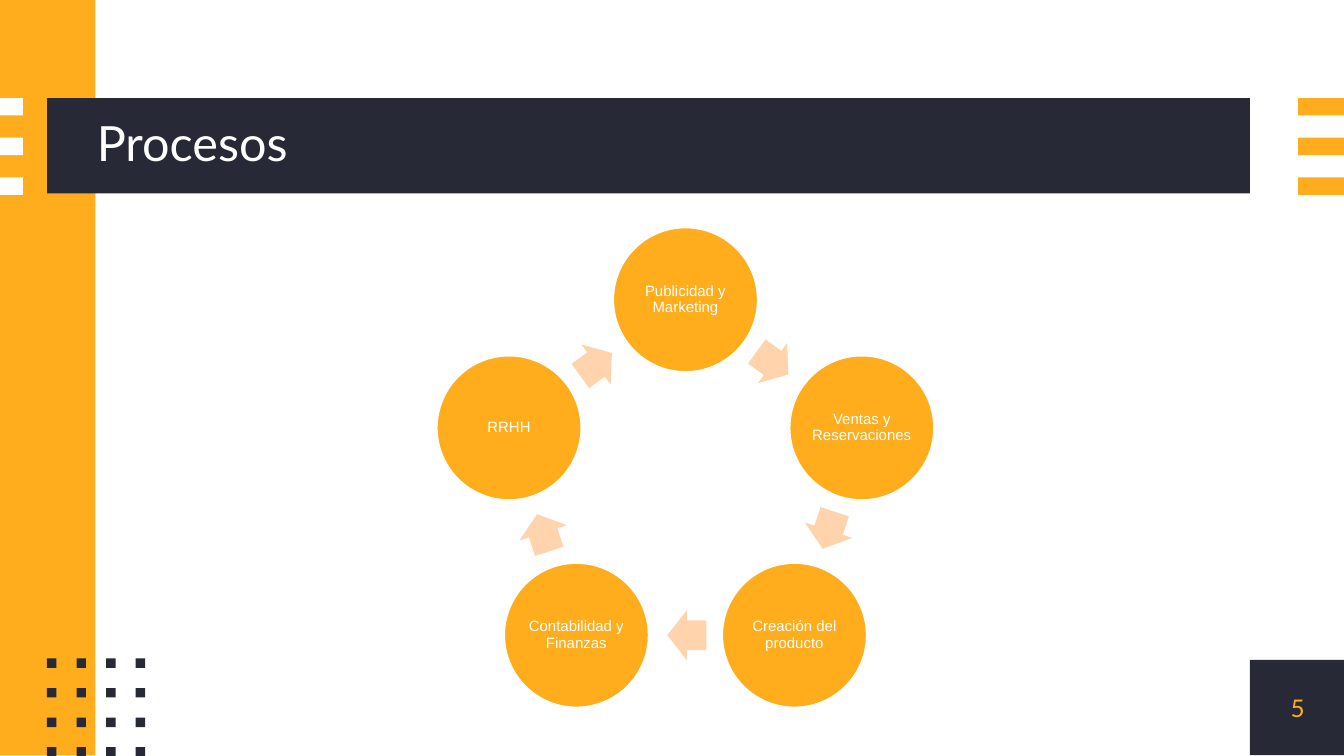
from dataclasses import dataclass
from itertools import product
from math import cos, pi, radians, sin

from pptx import Presentation
from pptx.dml.color import RGBColor
from pptx.enum.shapes import MSO_SHAPE as Shape
from pptx.enum.text import MSO_ANCHOR as Anchor, PP_ALIGN as Align
from pptx.shapes.autoshape import Shape as AutoShape
from pptx.slide import Slide
from pptx.util import Inches, Pt

COLORS = {
    "dark": "272A36",
    "amber": "FFAD1D",
    "peach": "FFD3AC",
    "white": "FFFFFF",
}
PROCESSES = [
    "Publicidad y Marketing",
    "Ventas y Reservaciones",
    "Creación del producto",
    "Contabilidad y Finanzas",
    "RRHH",
]
RING_X, RING_Y, RING_RADIUS = 5.1, 3.61, 1.38
CIRCLE_SIZE = 1.09
ARROW_LENGTH, ARROW_HEIGHT, ARROW_SETBACK = 0.29, 0.37, 0.01


@dataclass(frozen=True)
class Area:
    left: float
    top: float
    width: float
    height: float

    def lengths(self) -> list[Inches]:
        return [Inches(v) for v in (self.left, self.top, self.width, self.height)]


@dataclass(frozen=True)
class TextStyle:
    font: str
    size: float
    color: str
    align: Align = Align.CENTER
    inset: float = 0
    line_spacing: float = 1.0
    space_after: float = 0


TITLE_STYLE = TextStyle("Lato", 26, "white", Align.LEFT, line_spacing=0.9)
NUMBER_STYLE = TextStyle("Lato", 13, "amber")
PROCESS_STYLE = TextStyle("Arial", 8, "white", inset=0.01,
                          line_spacing=0.9, space_after=2.8)


def rgb(name: str) -> RGBColor:
    return RGBColor.from_string(COLORS[name])


def add_filled(slide: Slide, kind: Shape, area: Area, color: str) -> AutoShape:
    shape = slide.shapes.add_shape(kind, *area.lengths())
    shape.shadow.inherit = False
    shape.fill.solid()
    shape.fill.fore_color.rgb = rgb(color)
    shape.line.fill.background()
    return shape


def write(box: AutoShape, text: str, style: TextStyle) -> None:
    frame = box.text_frame
    frame.word_wrap = True
    frame.vertical_anchor = Anchor.MIDDLE
    frame.margin_left = frame.margin_right = Inches(style.inset)
    frame.margin_top = frame.margin_bottom = Inches(style.inset)
    para = frame.paragraphs[0]
    para.alignment = style.align
    para.line_spacing = style.line_spacing
    para.space_after = Pt(style.space_after)
    span = para.add_run()
    span.text = text
    span.font.name = style.font
    span.font.size = Pt(style.size)
    span.font.color.rgb = rgb(style.color)


def add_text(slide: Slide, area: Area, text: str, style: TextStyle) -> None:
    write(slide.shapes.add_textbox(*area.lengths()), text, style)


def add_frame(slide: Slide) -> None:
    """Draw the side band, title bar, number box, stripes and dot grid."""
    panels = [
        (Area(9.3, 4.91, 0.71, 0.71), "dark"),
        (Area(0, 0, 0.71, 5.62), "amber"),
        (Area(0.35, 0.73, 8.95, 0.71), "dark"),
    ]
    for row in range(3):
        top = 0.73 + row * 0.295
        panels.append((Area(0, top, 0.17, 0.13), "white"))
        panels.append((Area(9.66, top, 0.34, 0.13), "amber"))
    for row, column in product(range(4), repeat=2):
        dot = Area(0.35 + column * 0.22, 4.9 + row * 0.22, 0.07, 0.07)
        panels.append((dot, "dark"))
    for area, color in panels:
        add_filled(slide, Shape.RECTANGLE, area, color)


def centred(x: float, y: float, width: float, height: float) -> Area:
    return Area(x - width / 2, y - height / 2, width, height)


def add_cycle(slide: Slide, labels: list[str]) -> None:
    """Place the circles clockwise from the top, with an arrow after each."""
    step = 360 / len(labels)
    arrow_radius = RING_RADIUS * cos(pi / len(labels))
    for index, label in enumerate(labels):
        angle = radians(index * step)
        circle = add_filled(
            slide, Shape.OVAL,
            centred(RING_X + RING_RADIUS * sin(angle),
                    RING_Y - RING_RADIUS * cos(angle), CIRCLE_SIZE, CIRCLE_SIZE),
            "amber")
        circle.line.color.rgb = rgb("white")
        circle.line.width = Pt(2)
        write(circle, label, PROCESS_STYLE)

        turn = (index + 0.5) * step
        angle = radians(turn)
        x = RING_X + arrow_radius * sin(angle) - ARROW_SETBACK * cos(angle)
        y = RING_Y - arrow_radius * cos(angle) - ARROW_SETBACK * sin(angle)
        arrow = add_filled(slide, Shape.RIGHT_ARROW,
                           centred(x, y, ARROW_LENGTH, ARROW_HEIGHT), "peach")
        arrow.adjustments[0] = 0.6
        arrow.adjustments[1] = 0.5
        arrow.rotation = turn


def main() -> None:
    deck = Presentation()
    deck.slide_width = Inches(10)
    deck.slide_height = Inches(10) * 9 // 16
    page = deck.slides.add_slide(deck.slide_layouts[6])
    add_frame(page)
    add_text(page, Area(0.72, 0.73, 8.58, 0.71), "Procesos", TITLE_STYLE)
    add_text(page, Area(9.3, 4.91, 0.71, 0.71), "5", NUMBER_STYLE)
    add_cycle(page, PROCESSES)
    deck.save("out.pptx")


if __name__ == "__main__":
    main()
